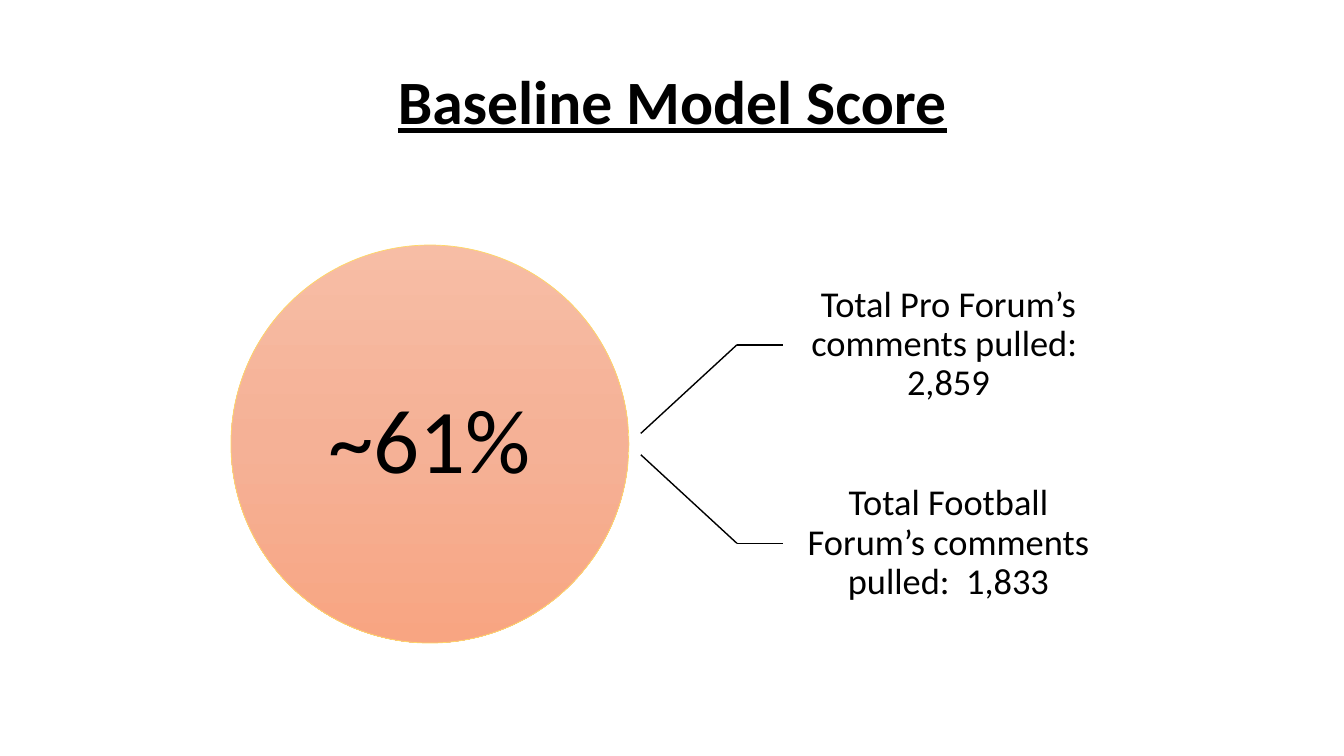
"""Build the slide showing the baseline model score."""
from copy import deepcopy
from lxml import etree
from pptx import Presentation
from pptx.dml.color import RGBColor
from pptx.enum.shapes import MSO_CONNECTOR, MSO_SHAPE
from pptx.enum.text import MSO_ANCHOR, PP_ALIGN
from pptx.oxml.ns import qn
from pptx.util import Cm, Pt

STRAIGHT = MSO_CONNECTOR.STRAIGHT
OVAL = MSO_SHAPE.OVAL
MIDDLE = MSO_ANCHOR.MIDDLE
CENTER = PP_ALIGN.CENTER


def write(shape, text, size, inset):
    frame = shape.text_frame
    frame.word_wrap = True
    frame.vertical_anchor = MIDDLE
    frame.margin_left = frame.margin_right = Cm(inset)
    frame.margin_top = frame.margin_bottom = Cm(inset)
    para = frame.paragraphs[0]
    para.text = text
    para.alignment = CENTER
    para.line_spacing = 0.9
    font = para.font
    font.name = "Calibri"
    font.size = Pt(size)
    font.color.rgb = RGBColor.from_string("000000")
    return font


def draw(x1, y1, x2, y2):
    line = slide.shapes.add_connector(STRAIGHT, Cm(x1), Cm(y1), Cm(x2), Cm(y2))
    line.line.width = Pt(1)
    line.line.color.rgb = RGBColor.from_string("000000")
    etree.SubElement(line._element.spPr, qn("a:effectLst"))
    return line


deck = Presentation()
deck.slide_width, deck.slide_height = Cm(33.87), Cm(19.05)
slide = deck.slides.add_slide(deck.slide_layouts[5])

title = slide.shapes.title
title.left, title.top, title.width, title.height = Cm(2.34), Cm(0.79), Cm(29.21), Cm(3.68)
font = write(title, "Baseline Model Score", 44, 0.25)
font.bold = font.underline = True

mid = 11.19
size = 10.03
score = slide.shapes.add_shape(OVAL, Cm(5.82), Cm(mid - size / 2), Cm(size), Cm(size))
score.shadow.inherit = False
score.line.width = Pt(0.5)
score.line.color.rgb = RGBColor.from_string("FFD966")
score.fill.gradient()
score.fill.gradient_angle = 270
stops = score._element.spPr.find(qn("a:gradFill")).find(qn("a:gsLst"))
stops.insert(1, deepcopy(stops[0]))
shades = [(0, "F7BDA5"), (0.5, "F5B196"), (1, "F8A582")]
for stop, (place, shade) in zip(score.fill.gradient_stops, shades):
    stop.position = place
    stop.color.rgb = RGBColor.from_string(shade)
write(score, "~61%", 65, 0)

start, bend, edge = 16.15, 18.57, 19.74
high = 5
notes = [
    (-1, "Total Pro Forum’s comments pulled:  2,859"),
    (1, "Total Football Forum’s comments pulled:  1,833"),
]
for side, text in notes:
    row = mid + side * high / 2
    box = slide.shapes.add_textbox(Cm(edge), Cm(row - high / 2), Cm(8.33), Cm(high))
    write(box, text, 26, 0.51)
    draw(start, mid + side * 0.27, bend, row)
    draw(bend, row, edge, row).end_connect(box, 1)

deck.save("out.pptx")
